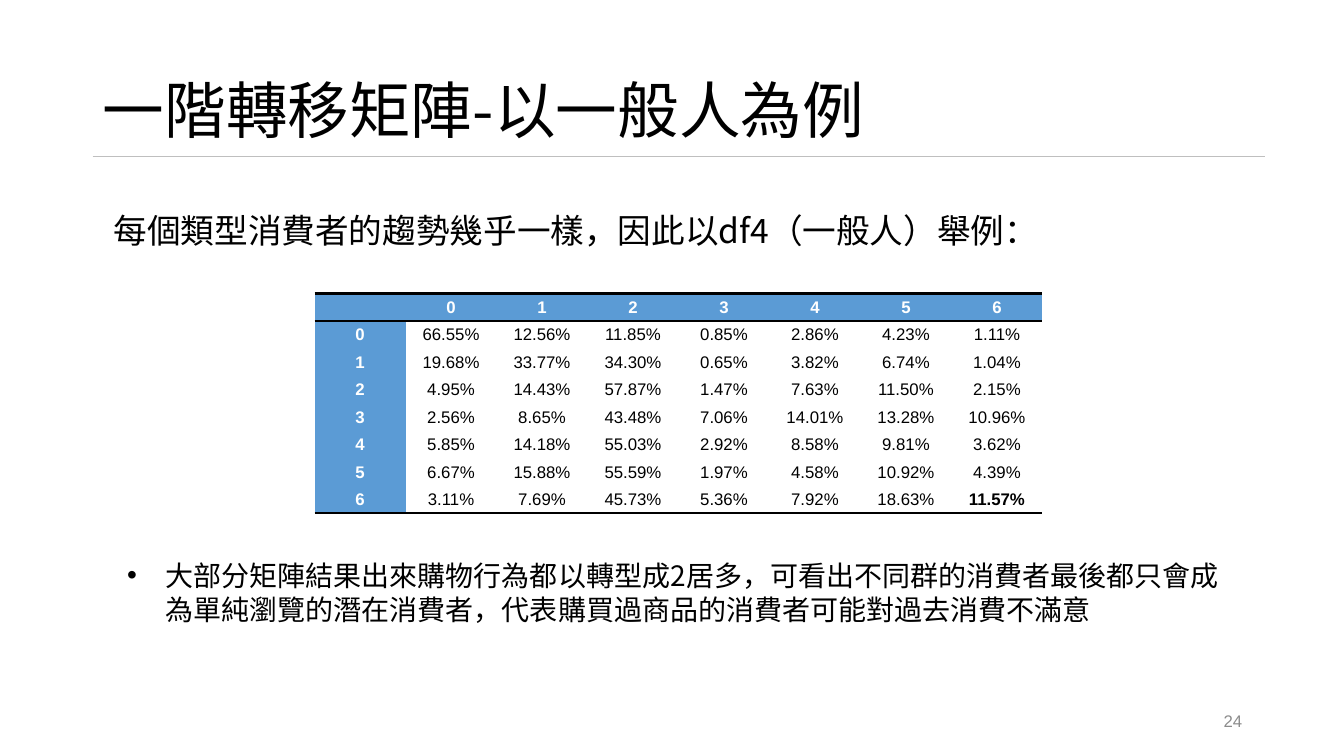
from lxml.etree import SubElement
from pptx import Presentation
from pptx.dml.color import RGBColor
from pptx.enum.shapes import MSO_CONNECTOR
from pptx.enum.text import MSO_ANCHOR, MSO_AUTO_SIZE, PP_ALIGN
from pptx.oxml import parse_xml
from pptx.oxml.ns import nsdecls, qn
from pptx.util import Inches, Pt

CJK, LATIN = "Noto Sans CJK TC", "Arial"
BLACK, WHITE, BLUE = "000000", "FFFFFF", "5B9BD5"
PLAIN_TABLE_STYLE = "{2D5ABB26-0587-4C30-8999-92F81FD0307C}"


def color(hex_value):
    return RGBColor.from_string(hex_value)


def write(paragraph, text, font_name, size, hex_value=BLACK, bold=False):
    """Add one run with its Latin and East Asian font set alike."""
    run = paragraph.add_run()
    run.text = text
    formats = {"name": font_name, "size": Pt(size), "bold": bold}
    for attribute, value in formats.items():
        setattr(run.font, attribute, value)
    run.font.color.rgb = color(hex_value)
    SubElement(run.font._element, qn("a:ea"), typeface=font_name)


prs = Presentation()
prs.slide_width, prs.slide_height = Inches(13.33), Inches(7.5)
slide = prs.slides.add_slide(prs.slide_layouts[1])
shapes = slide.shapes

# Title and the rule under it
title, finding = shapes.title, slide.placeholders[1]
placeholder_boxes = [
    (title, (0.92, 0.4, 11.5, 1.45)),
    (finding, (1.16, 5.49, 11.26, 0.77)),
]
for placeholder, box in placeholder_boxes:
    for side, length in zip(("left", "top", "width", "height"), box):
        setattr(placeholder, side, Inches(length))

title.text_frame.vertical_anchor = MSO_ANCHOR.MIDDLE
heading = title.text_frame.paragraphs[0]
heading.alignment = PP_ALIGN.LEFT
heading.line_spacing = 0.9
write(heading, "一階轉移矩陣-以一般人為例", CJK, 44)

rule = shapes.add_connector(
    MSO_CONNECTOR.STRAIGHT, Inches(0.92), Inches(1.55), Inches(12.55), Inches(1.55)
)
rule.line.color.rgb = color("BFBFBF")
rule.line.width = Pt(0.25)
SubElement(rule.element.spPr, qn("a:effectLst"))

# Introduction
intro = shapes.add_textbox(Inches(1.03), Inches(2.03), Inches(9.76), Inches(0.5))
intro.text_frame.word_wrap = False
intro.text_frame.auto_size = MSO_AUTO_SIZE.SHAPE_TO_FIT_TEXT
write(
    intro.text_frame.paragraphs[0],
    "每個類型消費者的趨勢幾乎一樣，因此以df4（一般人）舉例：",
    CJK,
    24,
)

# Transition matrix
transitions = [
    [66.55, 12.56, 11.85, 0.85, 2.86, 4.23, 1.11],
    [19.68, 33.77, 34.30, 0.65, 3.82, 6.74, 1.04],
    [4.95, 14.43, 57.87, 1.47, 7.63, 11.50, 2.15],
    [2.56, 8.65, 43.48, 7.06, 14.01, 13.28, 10.96],
    [5.85, 14.18, 55.03, 2.92, 8.58, 9.81, 3.62],
    [6.67, 15.88, 55.59, 1.97, 4.58, 10.92, 4.39],
    [3.11, 7.69, 45.73, 5.36, 7.92, 18.63, 11.57],
]
rows = [["", *map(str, range(7))]]
for state, shares in enumerate(transitions):
    rows.append([str(state), *(f"{share:.2f}%" for share in shares)])
last = len(rows) - 1

matrix_frame = shapes.add_table(
    len(rows), len(rows[0]), Inches(3.12), Inches(2.91), Inches(7.22), Inches(2.18)
)
matrix = matrix_frame.table
matrix_frame.element.find(".//" + qn("a:tableStyleId")).text = PLAIN_TABLE_STYLE
cell_format = {
    "vertical_anchor": MSO_ANCHOR.MIDDLE,
    "margin_left": Inches(0.01),
    "margin_top": Inches(0.01),
    "margin_right": Inches(0.01),
    "margin_bottom": 0,
}
for r, row in enumerate(rows):
    for c, value in enumerate(row):
        cell = matrix.cell(r, c)
        for attribute, setting in cell_format.items():
            setattr(cell, attribute, setting)
        is_header = r == 0 or c == 0
        cell.fill.solid()
        cell.fill.fore_color.rgb = color(BLUE if is_header else WHITE)

        entry = cell.text_frame.paragraphs[0]
        entry.alignment = PP_ALIGN.CENTER
        if value:
            is_bold = is_header or r == c == last
            write(entry, value, LATIN, 12, WHITE if is_header else BLACK, is_bold)
        else:
            SubElement(entry._p, qn("a:endParaRPr"), sz="1200")

        edges = {0: ["lnT", "lnB"], last: ["lnB"]}.get(r, [])
        for position, edge in enumerate(edges):
            border = parse_xml(
                f'<a:{edge} {nsdecls("a")} w="{Pt(2)}"><a:solidFill>'
                f'<a:srgbClr val="{BLACK}"/></a:solidFill></a:{edge}>'
            )
            cell._tc.get_or_add_tcPr().insert(position, border)

# Finding
finding.text_frame.auto_size = MSO_AUTO_SIZE.SHAPE_TO_FIT_TEXT
bullet = finding.text_frame.paragraphs[0]
bullet.space_before = Pt(0)
write(
    bullet,
    "大部分矩陣結果出來購物行為都以轉型成2居多，可看出不同群的消費者最後都只會成"
    "為單純瀏覽的潛在消費者，代表購買過商品的消費者可能對過去消費不滿意",
    CJK,
    20,
)
bullet_properties = bullet._p.get_or_add_pPr()
bullet_properties.set("marL", str(Inches(0.38)))
bullet_properties.set("indent", str(-Inches(0.38)))
SubElement(bullet_properties, qn("a:buFont"), typeface=LATIN)
SubElement(bullet_properties, qn("a:buChar"), char="•")

# Page number
page = shapes.add_textbox(Inches(9.42), Inches(6.95), Inches(3), Inches(0.4))
page.text_frame.word_wrap = True
page.text_frame.vertical_anchor = MSO_ANCHOR.MIDDLE
page_number = page.text_frame.paragraphs[0]
page_number.alignment = PP_ALIGN.RIGHT
write(page_number, "24", LATIN, 12, "8C8C8C")

prs.save("out.pptx")
